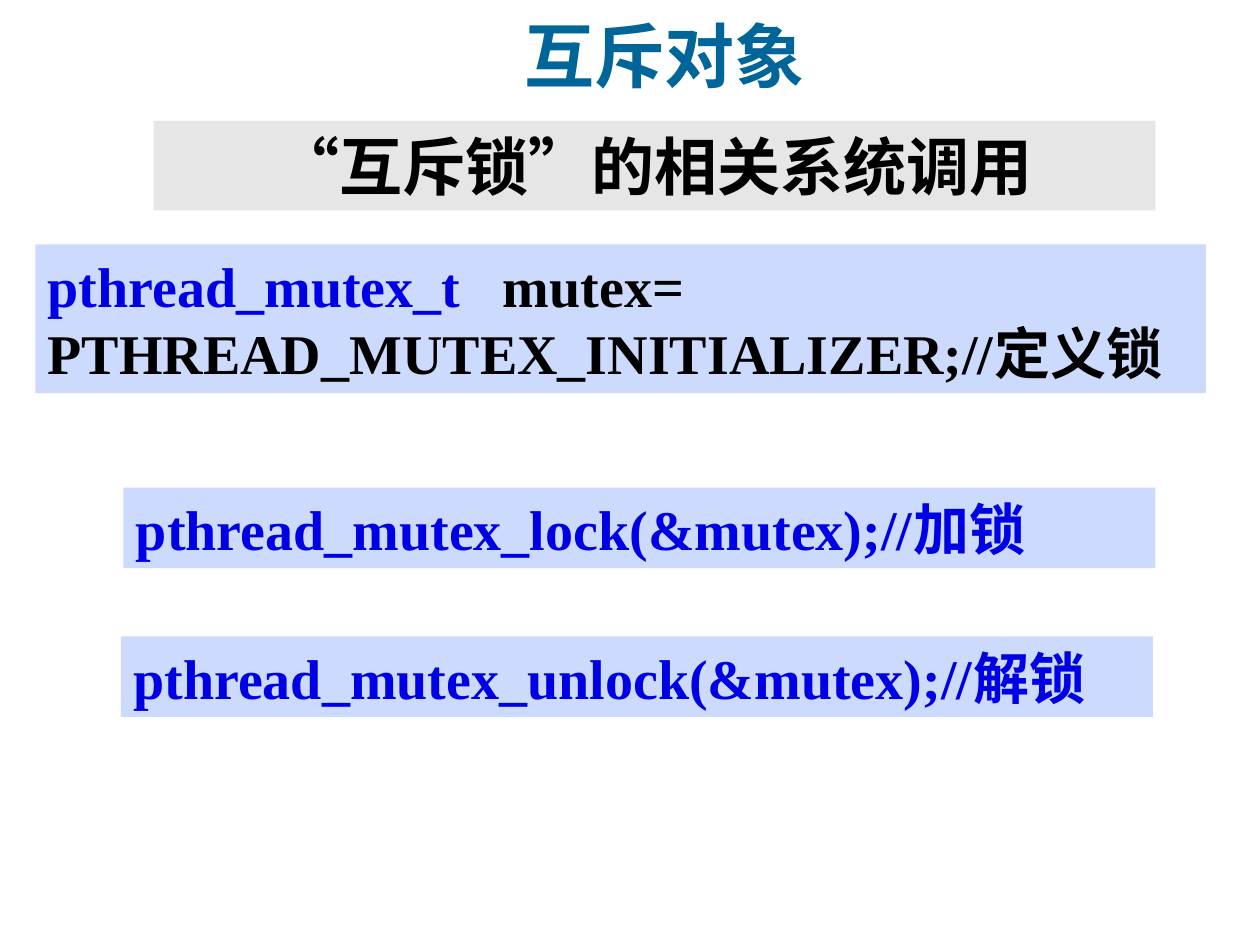
from pptx import Presentation
from pptx.dml.color import RGBColor
from pptx.enum import lang, shapes, text
from pptx.util import Inches, Pt

TITLE_BLUE = RGBColor(0x00, 0x66, 0x99)
CODE_BLUE = RGBColor(0x00, 0x00, 0xE5)
BLACK = RGBColor(0x00, 0x00, 0x00)
GREY = RGBColor(0xE6, 0xE6, 0xE6)
PALE_BLUE = RGBColor(0xCB, 0xDA, 0xFD)
HEADING_FONT = "Noto Sans CJK SC"
CODE_FONT = "Times New Roman"

prs = Presentation()
prs.slide_width, prs.slide_height = Inches(10), Inches(7.5)
slide = prs.slides.add_slide(prs.slide_layouts[6])


def write(frame, runs, font_name, size, align):
    frame.vertical_anchor = text.MSO_ANCHOR.MIDDLE
    paragraph = frame.paragraphs[0]
    paragraph.alignment = align
    for words, color in runs:
        run = paragraph.add_run()
        run.text = words
        style = {"name": font_name, "size": Pt(size), "bold": True,
                 "language_id": lang.MSO_LANGUAGE_ID.SIMPLIFIED_CHINESE}
        for key, value in style.items():
            setattr(run.font, key, value)
        run.font.color.rgb = color
        if font_name == HEADING_FONT:
            east_asian = run.font._element.makeelement(
                "{http://schemas.openxmlformats.org/drawingml/2006/main}ea",
                {"typeface": font_name})
            run.font._element.append(east_asian)


CENTER, LEFT = text.PP_ALIGN.CENTER, text.PP_ALIGN.LEFT
bands = [
    ((1.22, 0.96, 7.95, 0.71), GREY, HEADING_FONT, 36, CENTER,
     [("“互斥锁”的相关系统调用", BLACK)]),
    ((0.28, 1.94, 9.29, 1.18), PALE_BLUE, CODE_FONT, 32, LEFT,
     [("pthread_mutex_t   ", CODE_BLUE),
      ("mutex= PTHREAD_MUTEX_INITIALIZER;//定义锁", BLACK)]),
    ((0.98, 3.87, 8.19, 0.64), PALE_BLUE, CODE_FONT, 32, LEFT,
     [("pthread_mutex_lock(&mutex);//加锁", CODE_BLUE)]),
    ((0.96, 5.05, 8.19, 0.64), PALE_BLUE, CODE_FONT, 32, LEFT,
     [("pthread_mutex_unlock(&mutex);//解锁", CODE_BLUE)]),
]
for place, fill, font_name, size, align, runs in bands:
    band = slide.shapes.add_shape(shapes.MSO_SHAPE.RECTANGLE, *map(Inches, place))
    band.shadow.inherit = False
    band.fill.solid()
    band.fill.fore_color.rgb = fill
    band.line.fill.background()
    write(band.text_frame, runs, font_name, size, align)

title = slide.shapes.add_textbox(*map(Inches, (4.05, 0.05, 2.45, 0.77)))
title.text_frame.word_wrap = False
write(title.text_frame, [("互斥对象", TITLE_BLUE)], HEADING_FONT, 40, CENTER)

prs.save("out.pptx")
